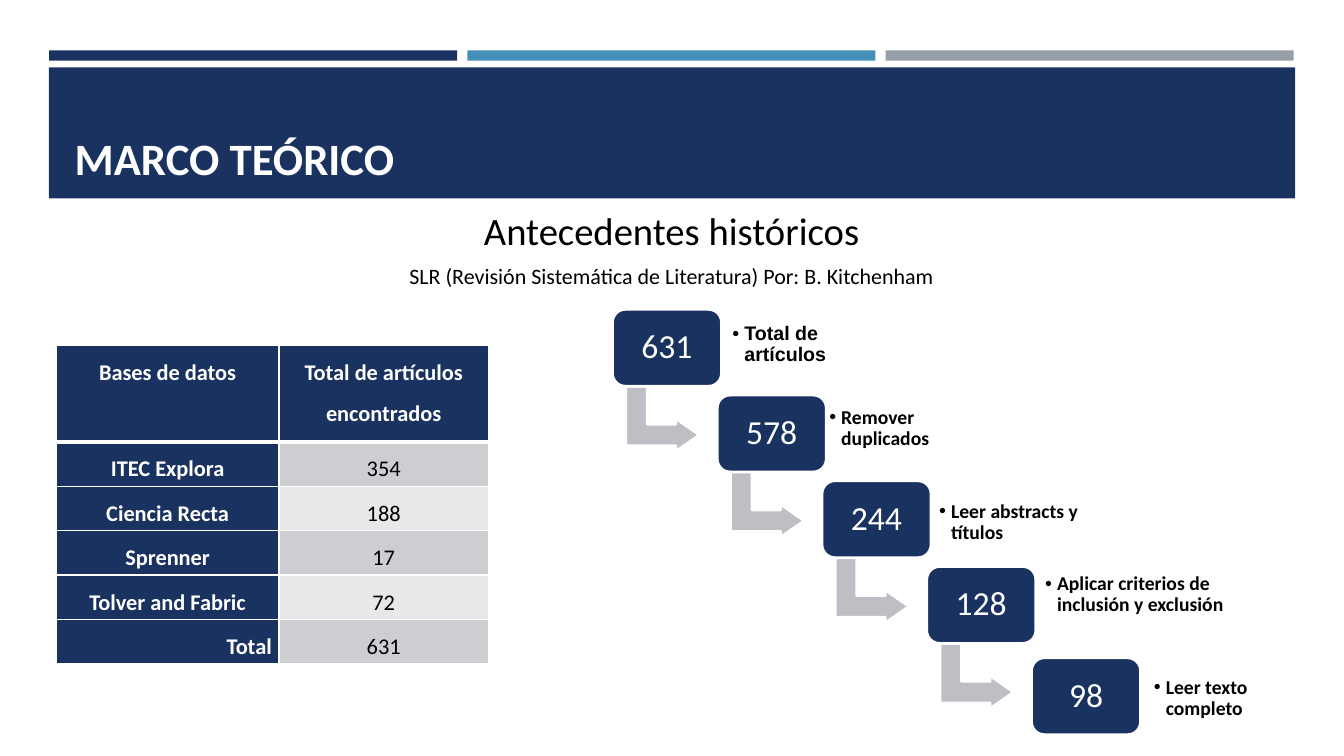
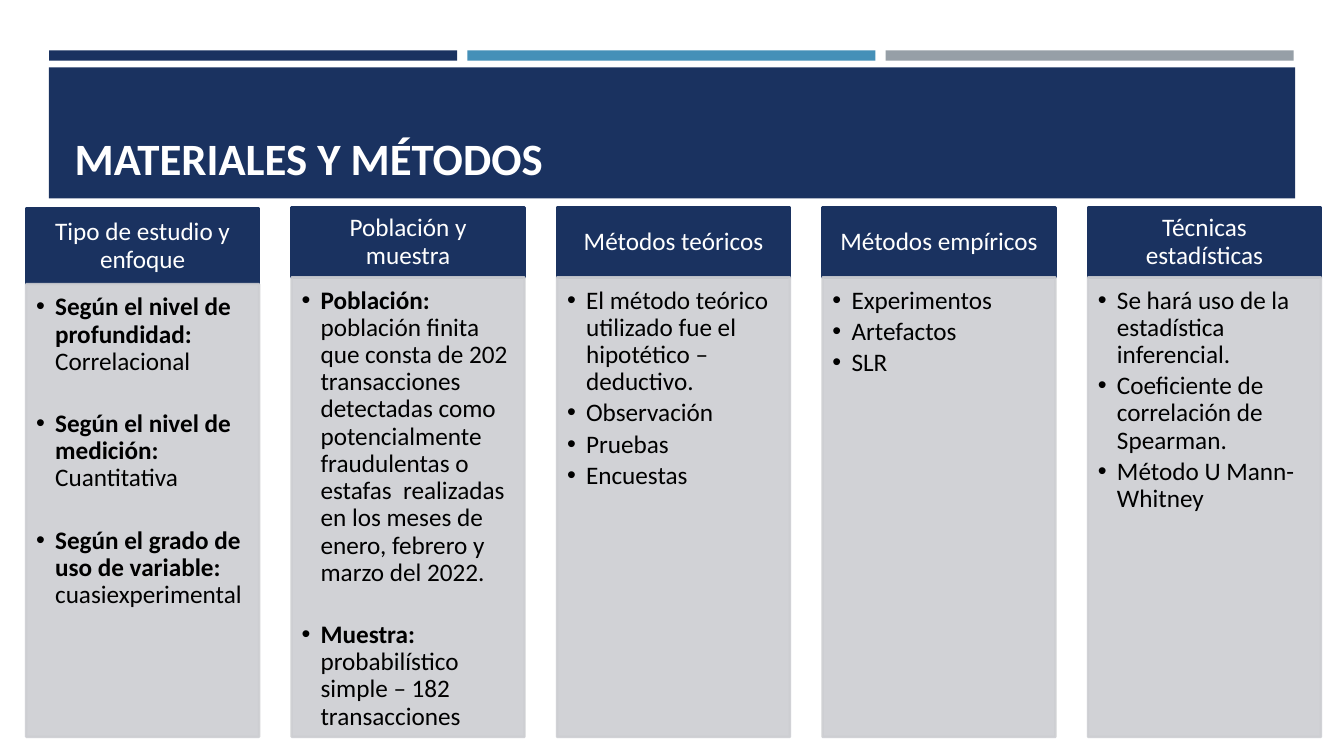
"""Build two slides: a literature review funnel and the study methods."""
from dataclasses import dataclass, replace
from typing import Any, Sequence

from lxml.etree import SubElement
from pptx import Presentation
from pptx.dml.color import RGBColor
from pptx.enum.shapes import MSO_SHAPE, PP_PLACEHOLDER
from pptx.enum.text import MSO_ANCHOR, MSO_AUTO_SIZE, PP_ALIGN
from pptx.oxml.ns import qn
from pptx.shapes.autoshape import Shape
from pptx.slide import Slide, SlideLayout
from pptx.table import _Cell
from pptx.text.text import TextFrame
from pptx.util import Cm, Pt


@dataclass(frozen=True)
class Theme:
    """Colours, fonts and type sizes of the presentation."""

    navy: str = "1A3260"
    blue: str = "4590B8"
    gray: str = "969FA7"
    arrow: str = "BDBFC5"
    panel: str = "CDCED2"
    pale: str = "E8E8EA"
    white: str = "FFFFFF"
    black: str = "000000"
    font: str = "Calibri"
    label_font: str = "Arial"
    title: float = 32
    heading: float = 27.6
    note: float = 15.7
    number: float = 24
    body: float = 18
    table: float = 16
    label: float = 14
    outline: float = 1.75


THEME = Theme()


@dataclass(frozen=True)
class Box:
    """A rectangle in centimetres."""

    left: float
    top: float
    width: float
    height: float

    def lengths(self) -> tuple[Cm, Cm, Cm, Cm]:
        """Return the rectangle as lengths."""
        return Cm(self.left), Cm(self.top), Cm(self.width), Cm(self.height)


@dataclass(frozen=True)
class TextStyle:
    """Look of a paragraph; a positive indent adds a hanging bullet."""

    size: float
    color: str = THEME.black
    bold: bool = False
    font: str = THEME.font
    align: PP_ALIGN = PP_ALIGN.LEFT
    spacing: float = 1.0
    before: float = 0
    after: float = 0
    indent: float = 0


@dataclass(frozen=True)
class Item:
    """A bullet with an optional bold lead."""

    text: str
    lead: str = ""


@dataclass(frozen=True)
class Step:
    """A stage of the article selection."""

    count: str
    label: str
    label_box: Box
    font: str = THEME.font
    nudge: float = 0


@dataclass(frozen=True)
class Column:
    """A headed panel of bullets."""

    heading: str
    items: Sequence[Item]
    gap: float = 2.8
    header_top: float = 5.23
    body_top: float = 6.99


TITLE_STYLE = TextStyle(THEME.title, THEME.white, True)
HEADING_STYLE = TextStyle(THEME.heading, align=PP_ALIGN.CENTER, before=4, after=4)
NOTE_STYLE = replace(HEADING_STYLE, size=THEME.note, before=3)
HEAD_CELL = TextStyle(THEME.table, THEME.white, True, align=PP_ALIGN.CENTER, spacing=1.5, after=8)
VALUE_CELL = replace(HEAD_CELL, color=THEME.black, bold=False)
NUMBER_STYLE = TextStyle(THEME.number, THEME.white, align=PP_ALIGN.CENTER, spacing=0.9)
LABEL_STYLE = TextStyle(THEME.label, bold=True, spacing=0.9, indent=0.3)
PANEL_HEADING = replace(NUMBER_STYLE, size=THEME.body)
PANEL_STYLE = TextStyle(THEME.body, spacing=0.9, indent=0.48)

SOURCES = (
    ("Bases de datos", "Total de artículos encontrados"),
    ("ITEC Explora", "354"),
    ("Ciencia Recta", "188"),
    ("Sprenner", "17"),
    ("Tolver and Fabric", "72"),
    ("Total", "631"),
)
STEPS = (
    Step("631", "Total de artículos", Box(18.31, 7.92, 3.51, 1.55), THEME.label_font),
    Step("578", "Remover duplicados", Box(20.75, 10.03, 3.71, 1.55)),
    Step("244", "Leer abstracts y títulos", Box(23.52, 12.4, 3.86, 1.55)),
    Step("128", "Aplicar criterios de inclusión y exclusión", Box(26.19, 14.22, 5.26, 1.55)),
    Step("98", "Leer texto completo", Box(28.93, 16.51, 3.15, 2.18), nudge=0.14),
)
COLUMNS = (
    Column("Tipo de estudio y enfoque", (
        Item("Correlacional", "Según el nivel de profundidad: "),
        Item("Cuantitativa", "Según el nivel de medición: "),
        Item("cuasiexperimental", "Según el grado de uso de variable: "),
    ), gap=25, header_top=5.26, body_top=7.16),
    Column("Población y muestra", (
        Item("población finita que consta de 202 transacciones detectadas como "
             "potencialmente fraudulentas o estafas  realizadas en los meses de "
             "enero, febrero y marzo del 2022.", "Población: "),
        Item("probabilístico simple – 182 transacciones", "Muestra: "),
    ), gap=25),
    Column("Métodos teóricos", (
        Item("El método teórico utilizado fue el hipotético – deductivo."),
        Item("Observación"), Item("Pruebas"), Item("Encuestas"),
    )),
    Column("Métodos empíricos", (Item("Experimentos"), Item("Artefactos"), Item("SLR"))),
    Column("Técnicas estadísticas", (
        Item("Se hará uso de la estadística inferencial."),
        Item("Coeficiente de correlación de Spearman."),
        Item("Método U Mann-Whitney"),
    )),
)


def set_format(target: Any, values: dict[str, Any]) -> None:
    """Set each named attribute of the target."""
    for name, value in values.items():
        setattr(target, name, value)


def write(frame: TextFrame, items: Sequence[Item], styles: Sequence[TextStyle]) -> None:
    """Write one paragraph per item in its style."""
    for index, (item, style) in enumerate(zip(items, styles)):
        paragraph = frame.add_paragraph() if index else frame.paragraphs[0]
        set_format(paragraph, {
            "alignment": style.align, "line_spacing": style.spacing,
            "space_before": Pt(style.before), "space_after": Pt(style.after),
        })
        if style.indent:
            properties = paragraph._p.get_or_add_pPr()
            properties.set("marL", str(Cm(style.indent)))
            properties.set("indent", str(-Cm(style.indent)))
            SubElement(properties, qn("a:buFont"), typeface="Arial")
            SubElement(properties, qn("a:buChar"), char="•")
        for text, bold in ((item.lead, True), (item.text, style.bold)):
            if text:
                run = paragraph.add_run()
                run.text = text
                set_format(run.font, {"size": Pt(style.size), "bold": bold, "name": style.font})
                run.font.color.rgb = RGBColor.from_string(style.color)


def set_frame(frame: TextFrame, anchor: MSO_ANCHOR, margins: Sequence[float]) -> None:
    """Set wrapping, anchor and the left, top, right and bottom margins."""
    names = ("margin_left", "margin_top", "margin_right", "margin_bottom")
    set_format(frame, {
        "word_wrap": True, "auto_size": MSO_AUTO_SIZE.NONE, "vertical_anchor": anchor,
        **dict(zip(names, map(Cm, margins))),
    })


def add_block(slide: Slide, kind: MSO_SHAPE, box: Box, fill: str, line: str = "") -> Shape:
    """Add a flat filled shape, outlined when a line colour is given."""
    shape = slide.shapes.add_shape(kind, *box.lengths())
    shape.shadow.inherit = False
    shape.fill.solid()
    shape.fill.fore_color.rgb = RGBColor.from_string(fill)
    if line:
        shape.line.color.rgb = RGBColor.from_string(line)
        shape.line.width = Pt(THEME.outline)
    else:
        shape.line.fill.background()
    return shape


def add_text(slide: Slide, box: Box, items: Sequence[Item], styles: Sequence[TextStyle],
             margins: Sequence[float]) -> None:
    """Add a vertically centred text box."""
    frame = slide.shapes.add_textbox(*box.lengths()).text_frame
    set_frame(frame, MSO_ANCHOR.MIDDLE, margins)
    write(frame, items, styles)


def add_titled_slide(presentation: Any, layout: SlideLayout, title: str) -> Slide:
    """Add a slide with its title inside the navy band."""
    slide = presentation.slides.add_slide(layout)
    placeholder = slide.shapes.title
    lengths = Box(1.63, 1.96, 30.63, 2.82).lengths()
    set_format(placeholder, dict(zip(("left", "top", "width", "height"), lengths)))
    set_frame(placeholder.text_frame, MSO_ANCHOR.BOTTOM, (0.25, 0.13, 0.25, 0.13))
    write(placeholder.text_frame, [Item(title)], [TITLE_STYLE])
    return slide


def move_bands_to_layout(slide: Slide, layout: SlideLayout) -> None:
    """Keep only the title in the layout and put the shared bands behind it."""
    for placeholder in list(layout.placeholders):
        if placeholder.placeholder_format.type != PP_PLACEHOLDER.TITLE:
            layout.shapes.element.remove(placeholder.element)
    bands = [(Box(1.24 + 10.54 * index, 1.27, 10.28, 0.26), color)
             for index, color in enumerate((THEME.navy, THEME.blue, THEME.gray))]
    bands.append((Box(1.23, 1.7, 31.41, 3.3), THEME.navy))
    for box, color in bands:
        band = add_block(slide, MSO_SHAPE.RECTANGLE, box, color)
        layout.shapes.element.insert(2, band.element)


def format_cell(cell: _Cell, text: str, style: TextStyle, fill: str, bottom: float) -> None:
    """Write a table cell with white borders and a plain fill."""
    set_format(cell, {"margin_left": Cm(0.18), "margin_right": Cm(0.18),
                      "margin_top": 0, "margin_bottom": 0})
    properties = cell._tc.get_or_add_tcPr()
    for side, width in (("L", 1), ("R", 1), ("T", 1), ("B", bottom)):
        line = SubElement(properties, qn(f"a:ln{side}"), w=str(Pt(width)))
        SubElement(SubElement(line, qn("a:solidFill")), qn("a:srgbClr"), val=THEME.white)
    cell.fill.solid()
    cell.fill.fore_color.rgb = RGBColor.from_string(fill)
    write(cell.text_frame, [Item(text)], [style])


def add_sources_table(slide: Slide) -> None:
    """Add the table of articles found per database."""
    box = Box(1.42, 8.71, 10.89, 8.02)
    table = slide.shapes.add_table(len(SOURCES), 2, *box.lengths()).table
    for column, width in zip(table.columns, (5.61, 5.28)):
        column.width = Cm(width)
    for index, (name, count) in enumerate(SOURCES):
        header = index == 0
        table.rows[index].height = Cm(2.42 if header else 1.12)
        bottom = 3 if header else 1
        last = index == len(SOURCES) - 1
        name_style = replace(HEAD_CELL, align=PP_ALIGN.RIGHT) if last else HEAD_CELL
        band = THEME.panel if index % 2 else THEME.pale
        format_cell(table.cell(index, 0), name, name_style, THEME.navy, bottom)
        format_cell(table.cell(index, 1), count, HEAD_CELL if header else VALUE_CELL,
                    THEME.navy if header else band, bottom)


def add_staircase(slide: Slide) -> None:
    """Add the descending steps with bent arrows between them."""
    for index, step in enumerate(STEPS):
        left, top = 15.44 + 2.64 * index, 7.8 + 2.16 * index + step.nudge
        if index < len(STEPS) - 1:
            arrow = add_block(slide, MSO_SHAPE.BENT_UP_ARROW,
                              Box(left + 0.44, top + 1.83, 1.63, 1.85), THEME.arrow, THEME.white)
            arrow.rotation = 90
            for position, value in enumerate((0.33, 0.25, 0.36)):
                arrow.adjustments[position] = value
        block = add_block(slide, MSO_SHAPE.ROUNDED_RECTANGLE,
                          Box(left, top, 2.74, 1.93), THEME.navy, THEME.white)
        set_frame(block.text_frame, MSO_ANCHOR.MIDDLE, (0.25,) * 4)
        write(block.text_frame, [Item(step.count)], [NUMBER_STYLE])
        add_text(slide, step.label_box, [Item(step.label)],
                 [replace(LABEL_STYLE, font=step.font)], (0.15,) * 4)


def add_columns(slide: Slide) -> None:
    """Add the five equally spaced method panels."""
    width, pitch, bottom = 5.87, 6.69, 18.57
    for index, column in enumerate(COLUMNS):
        left = 0.66 + pitch * index
        header = add_block(slide, MSO_SHAPE.RECTANGLE,
                           Box(left, column.header_top, width, column.body_top - column.header_top),
                           THEME.navy, THEME.navy)
        set_frame(header.text_frame, MSO_ANCHOR.MIDDLE, (0.36, 0.2, 0.36, 0.2))
        write(header.text_frame, [Item(column.heading)], [PANEL_HEADING])
        panel = add_block(slide, MSO_SHAPE.RECTANGLE,
                          Box(left, column.body_top, width, bottom - column.body_top),
                          THEME.panel, THEME.panel)
        for color in panel.element.spPr.iter(qn("a:srgbClr")):
            SubElement(color, qn("a:alpha"), val="90000")
        set_frame(panel.text_frame, MSO_ANCHOR.TOP, (0.25, 0.25, 0.36, 0.4))
        style = replace(PANEL_STYLE, after=column.gap)
        write(panel.text_frame, column.items, [style] * len(column.items))


def main() -> None:
    """Build and save the presentation."""
    presentation = Presentation()
    set_format(presentation, {"slide_width": Cm(33.87), "slide_height": Cm(19.05)})
    layout = presentation.slide_layouts.get_by_name("Title Only")
    background = add_titled_slide(presentation, layout, "MARCO TEÓRICO")
    move_bands_to_layout(background, layout)
    add_text(background, Box(1.42, 5.13, 31.01, 2.24),
             [Item("Antecedentes históricos"),
              Item("SLR (Revisión Sistemática de Literatura) Por: B. Kitchenham")],
             [HEADING_STYLE, NOTE_STYLE], (0.25, 0.13, 0.25, 0.13))
    add_sources_table(background)
    add_staircase(background)
    add_columns(add_titled_slide(presentation, layout, "MATERIALES Y MÉTODOS"))
    presentation.save("out.pptx")


if __name__ == "__main__":
    main()
